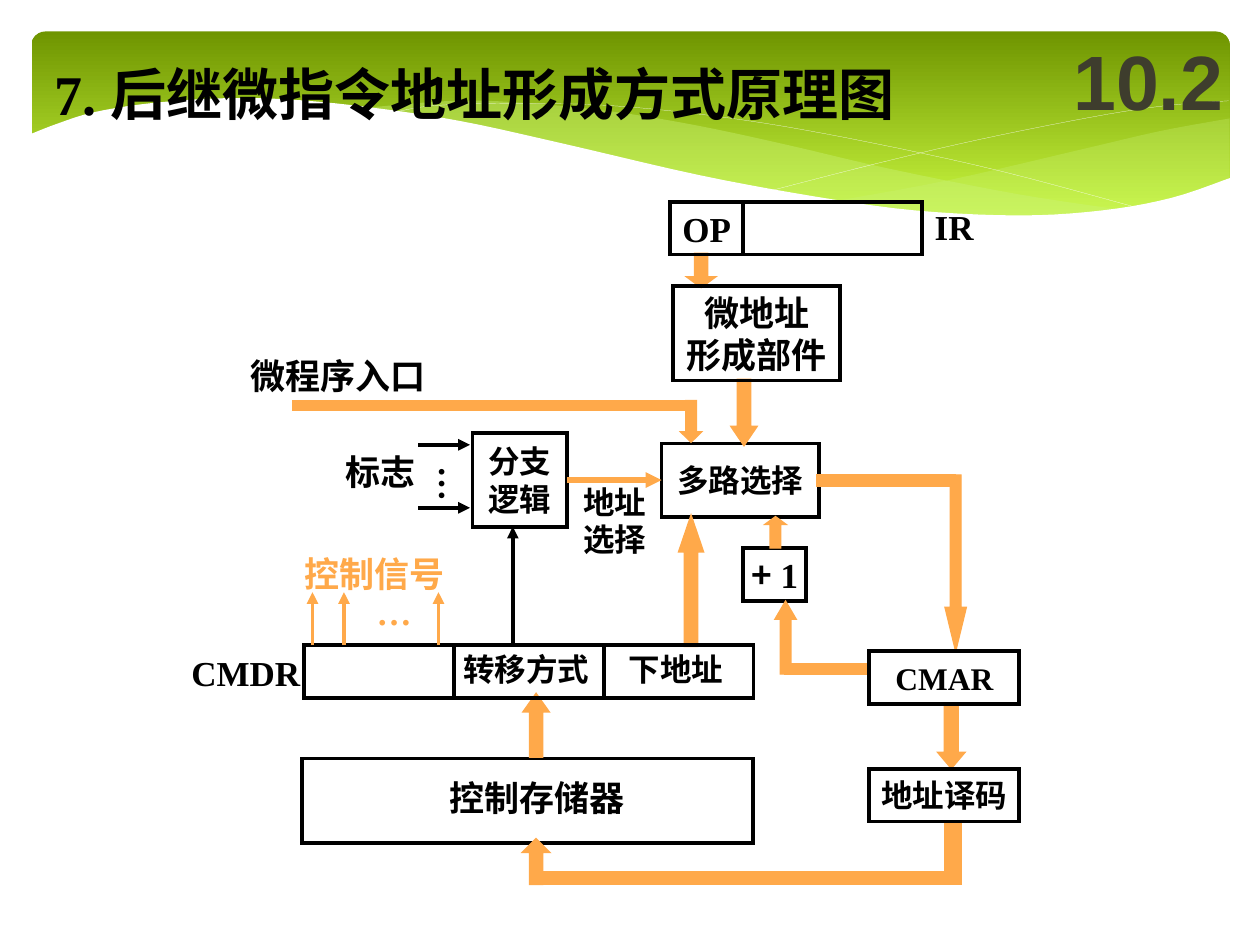
import pptx
import pptx.util
import pptx.dml.color
import pptx.enum.shapes
import pptx.enum.text
import pptx.oxml.ns
from lxml import etree

Inches, Pt = pptx.util.Inches, pptx.util.Pt
RGB = pptx.dml.color.RGBColor
KIND = pptx.enum.shapes.MSO_SHAPE
ALIGN = pptx.enum.text.PP_ALIGN
MID = pptx.enum.text.MSO_ANCHOR.MIDDLE
qn = pptx.oxml.ns.qn

BLACK, WHITE = RGB(0, 0, 0), RGB(255, 255, 255)
ORANGE = RGB(0xFF, 0xA9, 0x4A)
DARK, LIME = RGB(0x6F, 0x95, 0x00), RGB(0xD0, 0xFF, 0x44)
PALE, GREY = RGB(0xCA, 0xF2, 0x78), RGB(0x3E, 0x3D, 0x2D)
SERIF, SANS, CJK = "Times New Roman", "DejaVu Sans", "Noto Sans CJK SC"

# Header waves: smooth edges, fill, opacity in percent
WAVES = [
    ([[(9.76, 0.94), (9.21, 1.04), (8.61, 1.18), (7.53, 1.43), (6.61, 1.6)],
      [(6.61, 1.6), (7.18, 1.67), (7.69, 1.71), (8.14, 1.72), (8.63, 1.7),
       (9.13, 1.62), (9.49, 1.52), (9.76, 1.41)]], PALE, 29),
    ([[(8.93, 1.67), (8.07, 1.54), (7.06, 1.34), (6.29, 1.16), (5.55, 1),
       (4.89, 0.89), (4.2, 0.82), (3.61, 0.8), (2.86, 0.86)],
      [(2.86, 0.86), (3.62, 0.97), (4.49, 1.16), (5.3, 1.35), (6.01, 1.5),
       (6.8, 1.63), (7.48, 1.7), (8.07, 1.73), (8.48, 1.72), (8.93, 1.67)]],
     PALE, 40),
    ([[(3.09, 0.9), (3.43, 0.84), (4.01, 0.82), (4.69, 0.83), (5.32, 0.88),
       (6.08, 0.98), (6.95, 1.14), (7.95, 1.36), (9.07, 1.66)]], None, 100),
    ([[(6.13, 1.51), (6.95, 1.3), (7.76, 1.11), (8.66, 0.93), (9.24, 0.84),
       (9.75, 0.8)]], None, 100),
    ([[(9.77, 1.41), (9.3, 1.57), (8.75, 1.67), (8.09, 1.71), (7.26, 1.67),
       (6.47, 1.56), (5.55, 1.39), (4.47, 1.14), (3.65, 0.96), (2.92, 0.85),
       (2.3, 0.79), (1.76, 0.78), (1.19, 0.82), (0.75, 0.89), (0.46, 0.98),
       (0.23, 1.07)], [(0.23, 2.24), (9.77, 2.24)]], WHITE, 100),
]

# Boxes: text, size, left, top, width, height
LOW = [("多路选择", 18, 5.25, 3.52, 1.25, 0.58),
       ("+ 1", 20, 5.9, 4.35, 0.5, 0.42),
       ("控制存储器", 20, 2.4, 6.02, 3.58, 0.67)]
HIGH = [("OP", 20, 5.32, 1.6, 0.58, 0.42),
        ("", 20, 5.9, 1.6, 1.42, 0.42),
        ("微地址\n形成部件", 20, 5.34, 2.27, 1.33, 0.75),
        ("分支\n逻辑", 18, 3.75, 3.44, 0.75, 0.74),
        ("CMAR", 18, 6.9, 5.17, 1.19, 0.42),
        ("地址译码", 18, 6.9, 6.1, 1.19, 0.42)]
ROW = ["", "转移方式", "下地址"]
HIGH += [(word, 18, 2.41 + 1.19 * i, 5.12, 1.19, 0.42)
         for i, word in enumerate(ROW)]

# Labels: text, size, colour, left, top, width, height
LABELS = [("IR", 20, BLACK, 7.32, 1.58, 0.51, 0.44),
          ("微程序入口", 20, BLACK, 1.89, 2.76, 1.59, 0.44),
          ("标志", 20, BLACK, 2.64, 3.52, 0.75, 0.44),
          ("地址\n选择", 18, BLACK, 4.53, 3.78, 0.7, 0.7),
          ("控制信号", 20, ORANGE, 2.32, 4.33, 1.31, 0.44),
          ("…", 20, ORANGE, 2.89, 4.63, 0.48, 0.44),
          ("CMDR", 20, BLACK, 1.42, 5.12, 1.06, 0.44)]

# Orange data paths: kind, left, top, width, height, line width
UP, DOWN, BAR = KIND.UP_ARROW, KIND.DOWN_ARROW, KIND.RECTANGLE
PATHS = [(DOWN, 5.48, 2.02, 0.17, 0.25, 2.25),
         (DOWN, 5.82, 3.02, 0.17, 0.5, 2.25),
         (BAR, 2.32, 3.18, 3.17, 0.08, 0.75),
         (DOWN, 5.4, 3.18, 0.17, 0.33, 0.75),
         (BAR, 6.48, 3.77, 1.1, 0.09, 0.75),
         (DOWN, 7.5, 3.77, 0.17, 1.4, 0.75),
         (UP, 5.4, 4.12, 0.17, 1, 2.25),
         (UP, 6.07, 4.1, 0.17, 0.25, 0.75),
         (BAR, 6.23, 5.27, 0.67, 0.08, 0.75),
         (UP, 6.15, 4.77, 0.17, 0.58, 0.75),
         (UP, 4.17, 5.52, 0.17, 0.48, 2.25),
         (DOWN, 7.44, 5.58, 0.22, 0.52, 0.75),
         (BAR, 7.5, 6.52, 0.13, 0.5, 0.75),
         (BAR, 4.23, 6.92, 3.35, 0.1, 0.75),
         (UP, 4.17, 6.67, 0.17, 0.34, 2.25)]

# Thin arrows: from x, y, to x, y, colour
LINES = [(4.07, 5.11, 4.07, 4.18, BLACK)]
LINES += [(3.32, y, 3.73, y, BLACK) for y in (3.53, 4.03)]
LINES += [(x, 5.12, x, 4.7, ORANGE) for x in (2.48, 2.73, 3.48)]

deck = pptx.Presentation()
deck.slide_width, deck.slide_height = Inches(10), Inches(7.5)
slide = deck.slides.add_slide(deck.slide_layouts[5])
shapes = slide.shapes


def style(run, size, color, face=SERIF):
    font = run.font
    font.size, font.bold, font.name = Pt(size), True, face
    font.color.rgb = color
    etree.SubElement(run._r.get_or_add_rPr(), qn("a:ea"), typeface=SANS)


def write(shape, text, size, color, face=SERIF, align=ALIGN.LEFT):
    frame = shape.text_frame
    frame.text, frame.word_wrap, frame.vertical_anchor = text, False, MID
    for para in frame.paragraphs:
        para.alignment = align
        for run in para.runs:
            style(run, size, color, face)


def label(text, size, color, *place, face=SERIF):
    shape = shapes.add_textbox(*map(Inches, place))
    write(shape, text, size, color, face)
    shape.text_frame.margin_right = 0  # room to stay on one line
    return shape


def block(kind, place, fill, color, width):
    shape = shapes.add_shape(kind, *map(Inches, place))
    shape.shadow.inherit = False
    if fill is None:
        shape.fill.background()
    else:
        shape.fill.solid()
        shape.fill.fore_color.rgb = fill
    shape.line.color.rgb, shape.line.width = color, Pt(width)
    etree.SubElement(shape.line._get_or_add_ln(), qn("a:miter"), lim="800000")
    return shape


def box(text, size, *place):
    shape = block(BAR, place, None, BLACK, 2.25)
    if text:
        write(shape, text, size, BLACK, align=ALIGN.CENTER)
    return shape


def arrow(x, y, x2, y2, color, width=2.25):
    line = shapes.add_connector(pptx.enum.shapes.MSO_CONNECTOR.STRAIGHT,
                                *map(Inches, (x, y, x2, y2)))
    line.line.color.rgb, line.line.width = color, Pt(width)
    etree.SubElement(line.line._get_or_add_ln(), qn("a:tailEnd"), type="triangle")
    etree.SubElement(line._element.spPr, qn("a:effectLst"))
    return line


def curve(pts, steps=5):
    """Points of a Catmull-Rom spline through pts."""
    if len(pts) < 3:
        return pts
    ends = [pts[0]] + pts + [pts[-1]]
    out = [pts[0]]
    for a, b, c, d in zip(ends, ends[1:], ends[2:], ends[3:]):
        for t in (k / steps for k in range(1, steps + 1)):
            out.append(tuple(
                q + t * (r - p + t * (2 * p - 5 * q + 4 * r - s
                                      + t * (3 * q - p - 3 * r + s))) / 2
                for p, q, r, s in zip(a, b, c, d)))
    return out


def wave(edges, fill, alpha):
    pts = [(Inches(x), Inches(y)) for edge in edges for x, y in curve(edge)]
    path = shapes.build_freeform(*pts[0], scale=1.0)
    path.add_line_segments(pts[1:], close=fill is not None)
    shape = path.convert_to_shape()
    shape.shadow.inherit = False
    if fill is None:
        shape.fill.background()
        shape.line.color.rgb, shape.line.width = WHITE, Pt(0.1)
        return
    shape.line.fill.background()
    shape.fill.solid()
    shape.fill.fore_color.rgb = fill
    if alpha < 100:
        tone = shape._element.spPr.find(".//" + qn("a:srgbClr"))
        etree.SubElement(tone, qn("a:alpha"), val=str(alpha * 1000))


# Header band
band = block(KIND.ROUNDED_RECTANGLE, (0.25, 0.25, 9.51, 1.56), DARK, DARK, 0)
band.adjustments[0] = 0.07
band.line.fill.background()
band.fill.gradient()
band.fill.gradient_angle = 270
for stop, tone, spot in zip(band.fill.gradient_stops, (DARK, LIME), (0, 1)):
    stop.color.rgb, stop.position = tone, spot
for item in WAVES:
    wave(*item)

# Title, in front of the band
title = shapes.title
title._element.getparent().append(title._element)
title.left, title.top, title.width, title.height = map(
    Inches, (0.33, 0.42, 8.51, 0.64))
write(title, "7. ", 32, BLACK)
title.text_frame.word_wrap = True
title.text_frame.auto_size = pptx.enum.text.MSO_AUTO_SIZE.NONE
rest = title.text_frame.paragraphs[0].add_run()
rest.text = "后继微指令地址形成方式原理图"
style(rest, 32, BLACK, SANS)
label("10.2", 44, GREY, 8.42, 0.17, 1.58, 0.92, face="Arial")

# Diagram: boxes under the paths, paths, boxes over them
mux, plus, store = [box(*item) for item in LOW]
store.text_frame.margin_left, store.text_frame.margin_top = Inches(0.24), 0
para = plus.text_frame.paragraphs[0]
para.runs[0].text = "+"
para.runs[0].font.name = CJK
one = para.add_run()
one.text = " 1"
style(one, 20, BLACK)
for kind, *place, width in PATHS:
    shape = block(kind, place, ORANGE, ORANGE, width)
    if kind != BAR:
        shape.adjustments[1] = place[3] / 4 / place[2]
tops = [box(*item) for item in HIGH]
for field in tops[-2:]:
    field.text_frame.margin_left, field.text_frame.margin_top = Inches(0.06), 0

# Thin arrows
for item in LINES:
    arrow(*item)
pick = arrow(4.5, 3.81, 5.25, 3.81, ORANGE, 3)
pick.begin_connect(tops[3], 3)
pick.end_connect(mux, 1)

# Labels
for item in LABELS:
    label(*item)
dots = label("…", 20, BLACK, 3.31, 3.6, 0.53, 0.38)
dots.text_frame._txBody.bodyPr.set("vert", "eaVert")

deck.save("out.pptx")
